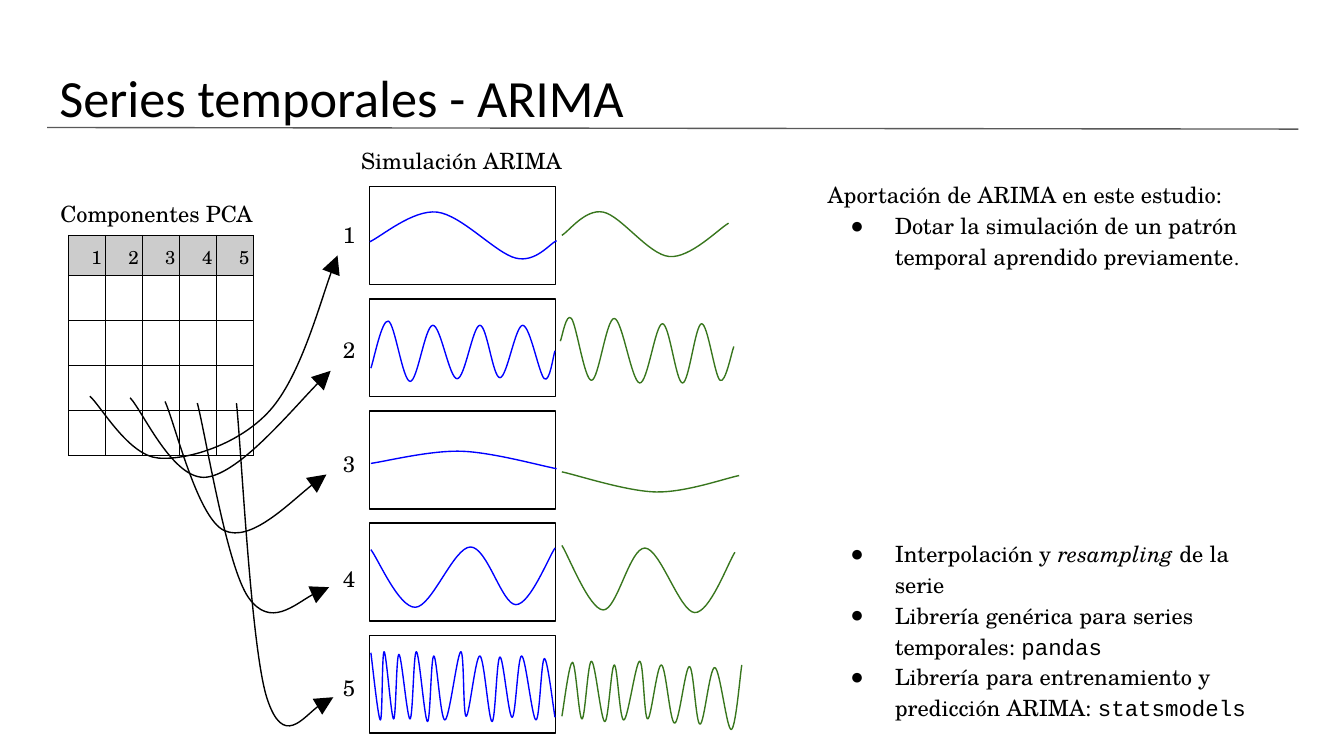
from lxml import etree
from pptx import Presentation
from pptx.dml.color import RGBColor
from pptx.enum.shapes import MSO_CONNECTOR, MSO_SHAPE
from pptx.enum.text import MSO_ANCHOR, MSO_AUTO_SIZE, PP_ALIGN
from pptx.oxml.ns import qn
from pptx.util import Cm, Pt

BLACK = RGBColor(0x00, 0x00, 0x00)
GRAY = RGBColor(0x59, 0x59, 0x59)
HEADER_GRAY = RGBColor(0xCC, 0xCC, 0xCC)
BLUE = RGBColor(0x00, 0x00, 0xFF)
GREEN = RGBColor(0x38, 0x76, 0x1D)
LEFT, CENTER, RIGHT = PP_ALIGN.LEFT, PP_ALIGN.CENTER, PP_ALIGN.RIGHT
TOP, BOTTOM = MSO_ANCHOR.TOP, MSO_ANCHOR.BOTTOM
RECTANGLE, STRAIGHT = MSO_SHAPE.RECTANGLE, MSO_CONNECTOR.STRAIGHT
NO_AUTOFIT = MSO_AUTO_SIZE.NONE
TITLE_FONT, TEXT_FONT, CODE_FONT = "Calibri", "TeX Gyre Schola", "Courier New"

# Knots (x, y) in centimetres of each component's curves
COMPONENT_ARROWS = [
    [(1.7, 7.49), (3, 8.66), (5.11, 7.75), (6.38, 4.83)],
    [(2.46, 7.52), (3.91, 9.02), (6.25, 7.01)],
    [(3.12, 7.59), (4.24, 10.03), (6.17, 8.97)],
    [(3.73, 7.62), (4.7, 11.3), (6.22, 11.1)],
    [(4.47, 7.62), (5.05, 13.21), (6.3, 13.18)],
]
OBSERVED_SERIES = [
    [(6.99, 4.57), (8.26, 4.01), (9.75, 4.88), (10.52, 4.55)],
    [(7.01, 6.96), (7.34, 6.07), (7.75, 7.21), (8.18, 6.15), (8.64, 7.16),
     (9.07, 6.15), (9.45, 7.14), (9.88, 6.15), (10.29, 7.16), (10.49, 6.63)],
    [(7.01, 8.76), (8.71, 8.53), (10.52, 8.86)],
    [(7.01, 10.39), (7.85, 11.48), (8.89, 10.34), (9.75, 11.43), (10.49, 10.36)],
    [(7.01, 12.34), (7.19, 13.61), (7.26, 12.32), (7.44, 13.59), (7.54, 12.37),
     (7.75, 13.59), (7.87, 12.32), (8.08, 13.64), (8.2, 12.4), (8.41, 13.61),
     (8.71, 12.32), (8.81, 13.54), (9.07, 12.4), (9.3, 13.64), (9.45, 12.42),
     (9.68, 13.56), (9.86, 12.4), (10.13, 13.61), (10.29, 12.45), (10.49, 13.56)],
]
SIMULATED_SERIES = [
    [(10.62, 4.45), (11.4, 4.01), (12.65, 4.85), (13.77, 4.22)],
    [(10.59, 6.45), (10.8, 6.02), (11.18, 7.19), (11.61, 6.02), (12.09, 7.24),
     (12.52, 6.12), (12.9, 7.24), (13.26, 6.12), (13.61, 7.19), (13.87, 6.55)],
    [(10.62, 8.92), (12.4, 9.3), (13.97, 8.99)],
    [(10.62, 10.31), (11.4, 11.53), (12.19, 10.36), (13.13, 11.58), (13.89, 10.44)],
    [(10.62, 13.54), (10.82, 12.52), (11, 13.59), (11.18, 12.5), (11.43, 13.64),
     (11.61, 12.57), (11.79, 13.61), (12.09, 12.5), (12.24, 13.59), (12.5, 12.57),
     (12.75, 13.67), (13.03, 12.6), (13.23, 13.69), (13.51, 12.62), (13.82, 13.79),
     (14.02, 12.57)],
]
LABEL_TOPS = [3.94, 6.1, 8.26, 10.44, 12.5]


class SlideBuilder:
    def __init__(self, slide, text_size=12, line_width=0.75):
        self.slide = slide
        self.text_size = text_size
        self.line_width = Pt(line_width)

    def stroke(self, shape, color):
        shape.line.color.rgb = color
        shape.line.width = self.line_width

    def add_run(self, paragraph, text, font=TEXT_FONT, size=None, italic=None):
        run = paragraph.add_run()
        run.text = text
        run.font.name = font
        run.font.size = Pt(size or self.text_size)
        run.font.color.rgb = BLACK
        run.font.italic = italic

    def frame(self, shape):
        frame = shape.text_frame
        frame.word_wrap = True
        frame.auto_size = NO_AUTOFIT
        frame.vertical_anchor = TOP
        frame.margin_left = frame.margin_right = Cm(0.25)
        frame.margin_top = frame.margin_bottom = Cm(0.25)
        return frame

    def place(self, index, left, top, width, height):
        shape = self.slide.placeholders[index]
        shape.left, shape.top = Cm(left), Cm(top)
        shape.width, shape.height = Cm(width), Cm(height)
        return self.frame(shape)

    def title(self, text, *box):
        paragraph = self.place(0, *box).paragraphs[0]
        paragraph.alignment = LEFT
        paragraph.line_spacing = 1.15
        self.add_run(paragraph, text, TITLE_FONT, 28)

    def body(self, index, box, items):
        """Each item is (has bullet, list of (text, run format))."""
        frame = self.place(index, *box)
        for number, (bulleted, runs) in enumerate(items):
            paragraph = frame.add_paragraph() if number else frame.paragraphs[0]
            paragraph.alignment = LEFT
            paragraph.line_spacing = 1.15
            paragraph.space_before = Pt(0)
            properties = paragraph._p.get_or_add_pPr()
            properties.set("marL", str(Cm(1.27 if bulleted else 0)))
            properties.set("indent", str(Cm(-0.84 if bulleted else 0)))
            if bulleted:
                color = etree.SubElement(properties, qn("a:buClr"))
                etree.SubElement(color, qn("a:srgbClr"), val=str(BLACK))
                etree.SubElement(properties, qn("a:buChar"), char="●")
            else:
                etree.SubElement(properties, qn("a:buNone"))
            for text, style in runs:
                self.add_run(paragraph, text, **style)

    def label(self, text, left, top, width, height, alignment=CENTER):
        shape = self.slide.shapes.add_textbox(Cm(left), Cm(top), Cm(width), Cm(height))
        paragraph = self.frame(shape).paragraphs[0]
        paragraph.alignment = alignment
        self.add_run(paragraph, text)

    def line(self, x1, y1, x2, y2, color):
        connector = self.slide.shapes.add_connector(STRAIGHT, Cm(x1), Cm(y1), Cm(x2), Cm(y2))
        self.stroke(connector, color)
        etree.SubElement(connector._element.spPr, qn("a:effectLst"))

    def panel(self, left, top, width, height):
        shape = self.slide.shapes.add_shape(RECTANGLE, Cm(left), Cm(top), Cm(width), Cm(height))
        shape.shadow.inherit = False
        shape.fill.background()
        self.stroke(shape, BLACK)

    def curve(self, knots, color, arrow=False):
        """Smooth curve through the knots, with Catmull-Rom tangents."""
        points = [(Cm(x), Cm(y)) for x, y in knots]
        builder = self.slide.shapes.build_freeform(*points[0])
        builder.add_line_segments(points[1:], close=False)
        shape = builder.convert_to_shape()
        shape.shadow.inherit = False
        shape.fill.background()
        self.stroke(shape, color)
        padded = [points[0], *points, points[-1]]
        tangents = [((c[0] - a[0]) / 6, (c[1] - a[1]) / 6) for a, c in zip(padded, padded[2:])]
        properties = shape._element.spPr
        for i, segment in enumerate(list(properties.iter(qn("a:lnTo")))):
            (x1, y1), (x2, y2) = points[i:i + 2]
            (dx1, dy1), (dx2, dy2) = tangents[i:i + 2]
            bezier = etree.Element(qn("a:cubicBezTo"))
            for x, y in ((x1 + dx1, y1 + dy1), (x2 - dx2, y2 - dy2), (x2, y2)):
                etree.SubElement(bezier, qn("a:pt"), x=str(round(x - shape.left)),
                                 y=str(round(y - shape.top)))
            segment.getparent().replace(segment, bezier)
        if arrow:
            etree.SubElement(properties.find(qn("a:ln")), qn("a:tailEnd"),
                             type="triangle", w="lg", len="lg")

    def borders(self, cell):
        properties = cell._tc.get_or_add_tcPr()
        for position, side in enumerate(("a:lnL", "a:lnR", "a:lnT", "a:lnB")):
            border = etree.Element(qn(side), w=str(self.line_width))
            fill = etree.SubElement(border, qn("a:solidFill"))
            etree.SubElement(fill, qn("a:srgbClr"), val=str(BLACK))
            properties.insert(position, border)

    def table(self, headers, blank_rows, left, top, column_width, header_height, row_height):
        shape = self.slide.shapes.add_table(
            blank_rows + 1, len(headers), Cm(left), Cm(top), Cm(column_width * len(headers)),
            Cm(header_height + row_height * blank_rows))
        table = shape.table
        for column in table.columns:
            column.width = Cm(column_width)
        for i, row in enumerate(table.rows):
            row.height = Cm(row_height if i else header_height)
            for header, cell in zip(headers, row.cells):
                margin = Cm(0 if i else 0.08)
                cell.margin_left = cell.margin_right = margin
                cell.margin_top = cell.margin_bottom = margin
                if i:
                    cell.fill.background()
                else:
                    cell.fill.solid()
                    cell.fill.fore_color.rgb = HEADER_GRAY
                    cell.vertical_anchor = BOTTOM
                    paragraph = cell.text_frame.paragraphs[0]
                    paragraph.alignment = RIGHT
                    paragraph.line_spacing = 1.15
                    self.add_run(paragraph, header, size=10)
                self.borders(cell)


def main():
    presentation = Presentation()
    presentation.slide_width, presentation.slide_height = Cm(25.4), Cm(14.29)
    # Layout with a title and two body placeholders
    slide = presentation.slides.add_slide(presentation.slide_layouts[3])
    builder = SlideBuilder(slide)

    # Title and rule
    builder.title("Series temporales - ARIMA", 0.87, 0.81, 23.67, 1.6)
    builder.line(0.89, 2.41, 24.54, 2.44, GRAY)

    # Contributions and tools
    builder.body(1, (15.39, 3.1, 9.14, 2.46), [
        (False, [("Aportación de ARIMA en este estudio:", {})]),
        (True, [("Dotar la simulación de un patrón temporal aprendido previamente", {}),
                (".", {"size": 11})]),
    ])
    builder.body(2, (15.39, 9.88, 9.14, 4.37), [
        (True, [("Interpolación y ", {}), ("resampling", {"italic": True}),
                (" de la serie", {})]),
        (True, [("Librería genérica para series temporales: ", {}),
                ("pandas", {"font": CODE_FONT})]),
        (True, [("Librería para entrenamiento y predicción ARIMA: ", {}),
                ("statsmodels", {"font": CODE_FONT})]),
    ])

    # PCA components
    builder.label("Componentes PCA", 0.89, 3.53, 4.32, 0.91, LEFT)
    builder.table(["1", "2", "3", "4", "5"], 4, 1.3, 4.45, 0.7, 0.74, 0.85)

    # ARIMA simulation of each component
    builder.label("Simulación ARIMA", 6.02, 2.54, 5.41, 0.89)
    rows = zip(LABEL_TOPS, COMPONENT_ARROWS, OBSERVED_SERIES, SIMULATED_SERIES)
    for i, (label_top, arrow, observed, simulated) in enumerate(rows):
        builder.panel(6.99, 3.53 + 2.12 * i, 3.51, 1.85)
        builder.label(str(i + 1), 6.22, label_top, 0.76, 1.04)
        builder.curve(observed, BLUE)
        builder.curve(simulated, GREEN)
        builder.curve(arrow, BLACK, arrow=True)

    presentation.save("out.pptx")


if __name__ == "__main__":
    main()
